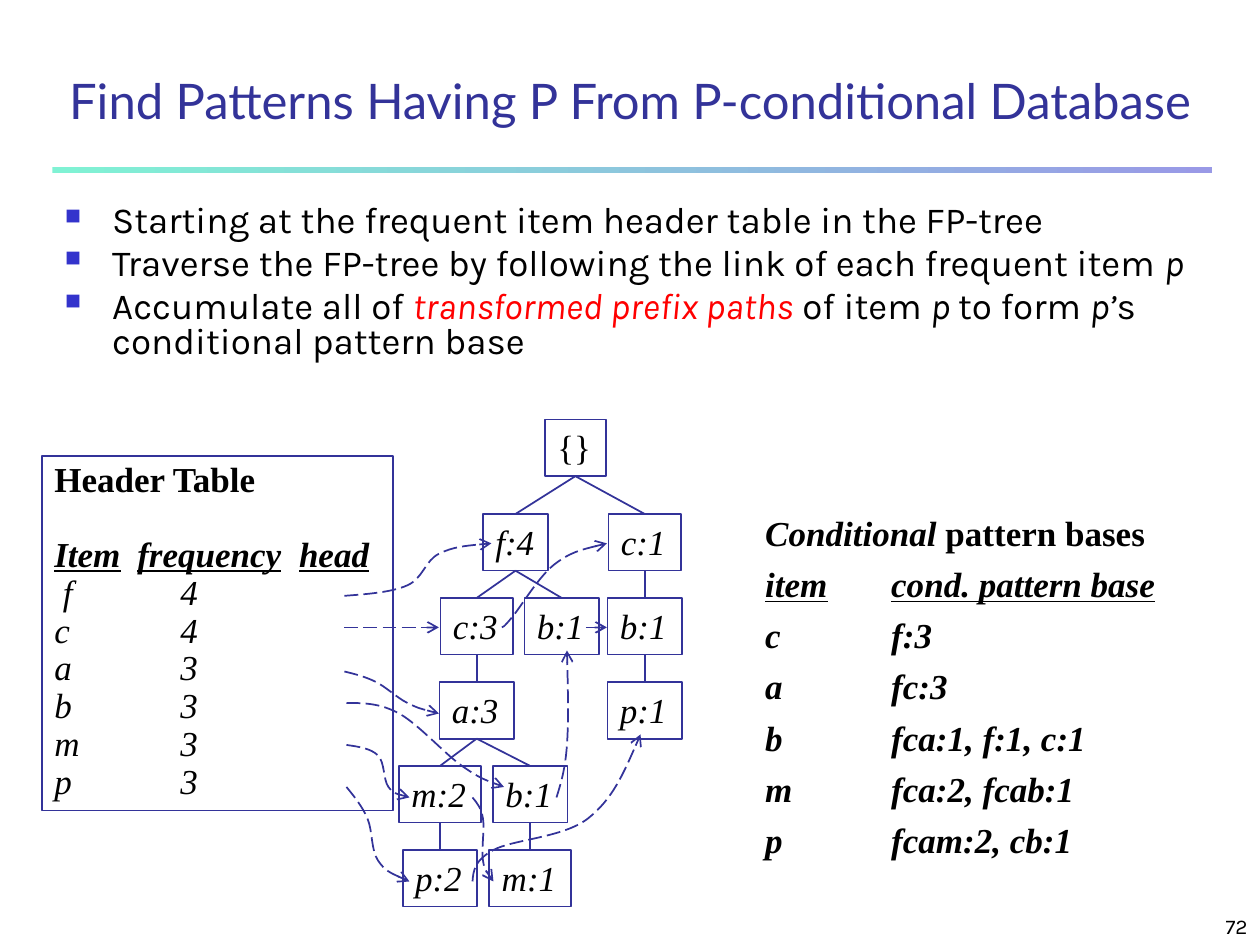
from dataclasses import dataclass
from lxml.etree import SubElement
from pptx import Presentation
from pptx.dml.color import RGBColor
from pptx.enum.dml import MSO_LINE
from pptx.enum.shapes import MSO_CONNECTOR, MSO_SHAPE
from pptx.enum.text import MSO_ANCHOR, PP_ALIGN
from pptx.oxml.ns import qn
from pptx.util import Inches, Pt

@dataclass(frozen=True)
class Theme:
    ink: str = "000000"
    navy: str = "333399"
    mark: str = "3333CC"
    red: str = "FF0000"
    fade: tuple = ("80F2D4", "9999E6")
    head: str = "Lato"
    body: str = "Karla"
    serif: str = "Times New Roman"
    title: int = 28
    list: int = 21
    tree: int = 20
    note: int = 12

T = Theme()
COLS, ROWS = 120, 90
UNIT = Inches(10) / COLS  # square grid cells, 12 to the inch

ITEMS = [
    "Starting at the frequent item header table in the FP-tree",
    "Traverse the FP-tree by following the link of each frequent item *p*",
    "Accumulate all of *!transformed prefix paths* of item *p *to form *p’*s "
    "conditional pattern base",
]
BASES = ["item\tcond. pattern base", "c\tf:3", "a\tfc:3", "b\tfca:1, f:1, c:1",
         "m\tfca:2, fcab:1", "p\tfcam:2, cb:1"]
# Text, middle column, row, width
NODES = {
    "root": ("{}", 50.8, 0, 5.8), "f": ("f:4", 45.1, 9, 6.2),
    "c1": ("c:1", 57.4, 9, 6.9), "c3": ("c:3", 41.4, 17, 6.9),
    "bf": ("b:1", 49.5, 17, 7.1), "bc": ("b:1", 57.4, 17, 7.1),
    "a": ("a:3", 41.4, 25, 7.1), "pb": ("p:1", 57.4, 25, 7.1),
    "m2": ("m:2", 37.9, 33, 7.8), "ba": ("b:1", 46.5, 33, 7.1),
    "p2": ("p:2", 37.9, 41, 7.1), "m1": ("m:1", 46.5, 41, 7.8),
}
EDGES = [("root", "f"), ("root", "c1"), ("f", "c3"), ("f", "bf"), ("c1", "bc"),
         ("bc", "pb"), ("c3", "a"), ("a", "m2"), ("a", "ba"), ("m2", "p2"),
         ("ba", "m1")]
# Knots of each dashed item link
LINKS = [
    [(28.8, 16.8), (34.8, 15.8), (37.8, 12.8), (42.8, 11.8)],
    [(28.8, 19.8), (37.8, 19.8)],
    [(43.8, 19.8), (44.8, 18.8), (48.8, 13.8), (53.8, 11.8)],
    [(28.8, 24), (31.8, 25), (34.8, 27), (37.8, 28)],
    [(29, 27), (34, 28), (40, 33), (44, 35)],
    [(49, 36), (50, 31), (50, 22)],
    [(51.8, 19.8), (53.8, 19.8)],
    [(29, 31), (32, 32), (33, 35), (35, 36)],
    [(41, 36), (42, 38), (42, 42), (43, 44)],
    [(29, 35), (31, 38), (32, 42), (35, 44)],
    [(41, 44), (43, 41), (52, 38), (57, 30)],
]

def rgb(code):
    return RGBColor.from_string(code)

def grid(*vals):
    return [round(v * UNIT) for v in vals]

def style(font, name, size, color=T.ink, **marks):
    font.name, font.size, font.color.rgb = name, Pt(size), rgb(color)
    for key, val in marks.items():
        setattr(font, key, val)

def space(para, lines, before=0, align=PP_ALIGN.LEFT):
    para.line_spacing, para.space_before, para.alignment = lines, Pt(before), align

def add_tabs(para, *stops):
    tabs = SubElement(para._p.get_or_add_pPr(), qn("a:tabLst"))
    for stop in grid(*stops):
        SubElement(tabs, qn("a:tab"), pos=str(stop), algn="l")

def add_bullet(para, indent):
    props = para._p.get_or_add_pPr()
    props.set("marL", str(indent))
    props.set("indent", str(-indent))
    SubElement(SubElement(props, qn("a:buClr")), qn("a:srgbClr"), val=T.mark)
    SubElement(props, qn("a:buSzPct"), val="60000")
    SubElement(props, qn("a:buChar"), char="■")

def text_box(slide, box):
    frame = slide.shapes.add_textbox(*grid(*box)).text_frame
    frame.word_wrap = True
    return frame

def pen(shape):
    shape.line.color.rgb, shape.line.width = rgb(T.navy), Pt(1)

def frame_box(slide, box):
    shape = slide.shapes.add_shape(MSO_SHAPE.RECTANGLE, *grid(*box))
    shape.shadow.inherit = False
    shape.fill.background()
    pen(shape)
    shape.text_frame.word_wrap = False
    shape.text_frame.vertical_anchor = MSO_ANCHOR.TOP
    return shape

def draw_line(slide, start=(0, 0), end=(0, 0)):
    line = slide.shapes.add_connector(MSO_CONNECTOR.STRAIGHT, *grid(*start, *end))
    pen(line)
    SubElement(line._element.spPr, qn("a:effectLst"))
    return line

def bend(knots):
    """Control points of a smooth curve through the knots."""
    slope = [None, *([(b - a) / 6 for a, b in zip(*ends)]
                     for ends in zip(knots, knots[2:])), None]
    out = []
    for a, b, rise, fall in zip(knots, knots[1:], slope, slope[1:]):
        one = rise and [p + s for p, s in zip(a, rise)]
        two = fall and [p - s for p, s in zip(b, fall)]
        one = one or [(p + q) / 2 for p, q in zip(a, two)]
        two = two or [(p + q) / 2 for p, q in zip(one, b)]
        out += [one, two, b]
    return out

def draw_curve(slide, knots):
    trace = slide.shapes.build_freeform(*grid(*knots[0]))
    trace.add_line_segments([grid(*p) for p in bend(knots)], close=False)
    shape = trace.convert_to_shape()
    shape.shadow.inherit = False
    shape.fill.background()
    pen(shape)
    # Each three line steps become one Bézier step
    steps = list(shape._element.iter(qn("a:lnTo")))
    for trio in zip(steps[::3], steps[1::3], steps[2::3]):
        curve = SubElement(trio[0].getparent(), qn("a:cubicBezTo"))
        for step in trio:
            curve.append(step[0])
            step.getparent().remove(step)
    return shape

def draw_link(slide, knots):
    link = draw_curve(slide, knots) if len(knots) > 2 else draw_line(slide, *knots)
    link.line.dash_style = MSO_LINE.LONG_DASH
    SubElement(link.line._get_or_add_ln(), qn("a:tailEnd"), type="arrow")

def add_title(slide, box, text):
    title = slide.shapes.title
    title.left, title.top, title.width, title.height = grid(*box)
    title.text_frame.text = text
    title.text_frame.vertical_anchor = MSO_ANCHOR.BOTTOM
    para = title.text_frame.paragraphs[0]
    space(para, 0.9, align=PP_ALIGN.CENTER)
    style(para.font, T.head, T.title, T.navy)

def add_rule(slide, box):
    rule = slide.shapes.add_shape(MSO_SHAPE.RECTANGLE, *grid(*box))
    rule.shadow.inherit = False
    rule.line.fill.background()
    rule.fill.gradient()
    rule.fill.gradient_angle = 0
    for stop, color in zip(rule.fill.gradient_stops, T.fade):
        stop.color.rgb = rgb(color)

def add_list(slide, box, items):
    """Bullets; *stars* mark italics and a leading ! marks red."""
    frame = text_box(slide, box)
    for i, item in enumerate(items):
        para = frame.add_paragraph() if i else frame.paragraphs[0]
        space(para, 0.8, 4.2 if i else 0)
        add_bullet(para, *grid(4.5))
        style(para.font, T.body, T.list)
        for j, part in enumerate(filter(None, item.split("*"))):
            run = para.add_run()
            run.text, run.font.italic = part.lstrip("!"), j % 2 == 1
            if part.startswith("!"):
                run.font.color.rgb = rgb(T.red)

def add_bases(slide, box, rows):
    frame = text_box(slide, box)
    para = frame.paragraphs[0]
    for part, slant in (("Conditional ", True), ("pattern bases", False)):
        run = para.add_run()
        run.text, run.font.italic = part, slant
    style(para.font, T.serif, T.tree, bold=True)
    for i, row in enumerate(rows):
        para = frame.add_paragraph()
        space(para, 0.8, 10)
        add_tabs(para, 12)
        para.text = row
        style(para.font, T.serif, T.tree, bold=True, italic=True, underline=i == 0)

def add_header(slide, box, counts):
    frame = frame_box(slide, box).text_frame
    lines = ["Header Table", "Item\tfrequency\thead"]
    for i, line in enumerate(lines + [f"{item}\t{num}" for item, num in counts]):
        para = frame.add_paragraph() if i else frame.paragraphs[0]
        space(para, 0.9, 21.5 if i == 1 else 0)
        inset = 0.8 if i == 2 else 0  # first item sits slightly in
        para._p.get_or_add_pPr().set("marL", str(*grid(inset)))
        add_tabs(para, *([7.9, 23.3] if i == 1 else [12 - inset]))
        para.text = line
        style(para.font, T.serif, T.tree, bold=i < 2, italic=i > 0, underline=i == 1)

def add_tree(slide, box, nodes, edges, links):
    left, top, made = *box[:2], {}
    for key, (text, mid, row, width) in nodes.items():
        made[key] = frame_box(slide, (left + mid - width / 2, top + row, width, 5.4))
        para = made[key].text_frame.paragraphs[0]
        para.text, para.alignment = text, PP_ALIGN.LEFT
        style(para.font, T.serif, T.tree, italic=key != "root")
    for above, below in edges:
        line = draw_line(slide)
        line.begin_connect(made[above], 2)
        line.end_connect(made[below], 0)
    for knots in links:
        draw_link(slide, [(left + x, top + y) for x, y in knots])

def add_number(slide, box, text):
    frame = text_box(slide, box)
    frame.vertical_anchor = MSO_ANCHOR.BOTTOM
    para = frame.paragraphs[0]
    para.text, para.alignment = text, PP_ALIGN.RIGHT
    style(para.font, T.body, T.note)

def main():
    deck = Presentation()
    deck.slide_width, deck.slide_height = grid(COLS, ROWS)
    slide = deck.slides.add_slide(deck.slide_layouts[5])
    add_rule(slide, (5, 15.9, 110.4, 0.6))
    add_title(slide, (0, 4, COLS, 9),
              "Find Patterns Having P From P-conditional Database")
    add_list(slide, (5, 19, 110, 20), ITEMS)
    add_bases(slide, (71.7, 48.1, 43.7, 36.5), BASES)
    add_header(slide, (4, 43.4, 33.4, 33.8), zip("fcabmp", (4, 4, 3, 3, 3, 3)))
    add_tree(slide, (4, 39.95, 61, 46.4), NODES, EDGES, LINKS)
    add_number(slide, (95, 85, 25, 5), "72")
    deck.save("out.pptx")

if __name__ == "__main__":
    main()
